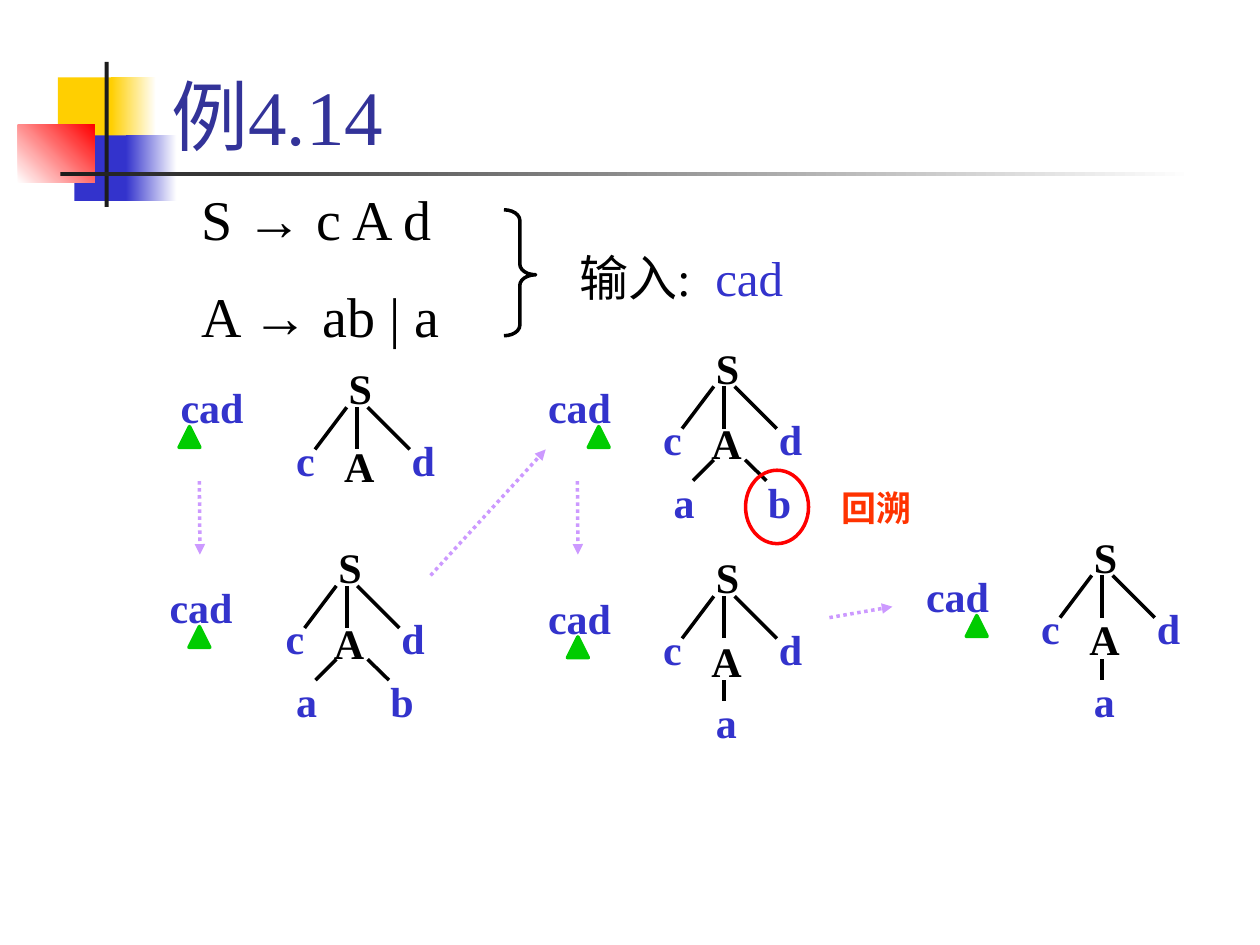
from dataclasses import dataclass

from lxml import etree
from pptx import Presentation
from pptx import util as u
from pptx.dml.color import RGBColor
from pptx.enum import dml, shapes, text
from pptx.oxml import ns


@dataclass(frozen=True)
class Theme:
    font: str = "Times New Roman"
    title: str = "333399"
    ink: str = "000000"
    terminal: str = "3333CC"
    pointer: str = "00CC00"
    step: str = "CC99FF"
    ring: str = "FF0000"
    alert: str = "FF3300"
    yellow: str = "FFCF01"
    bar: str = "1C1C1C"
    white: str = "FFFFFF"
    title_size: int = 44
    grammar_size: int = 32
    input_size: int = 28
    node_size: int = 24
    alert_size: int = 20
    stroke: int = 2


THEME = Theme()


def rgb(value):
    return RGBColor.from_string(value)


def add_span(para, words, size, color, bold=False):
    span = para.add_run()
    span.text = words
    span.font.name = THEME.font
    span.font.size = u.Pt(size)
    span.font.bold = bold
    span.font.color.rgb = rgb(color)


def add_box(page, left, top, width, height):
    box = page.shapes.add_textbox(u.Cm(left), u.Cm(top), u.Cm(width), u.Cm(height))
    box.text_frame.word_wrap = True
    box.text_frame.auto_size = text.MSO_AUTO_SIZE.SHAPE_TO_FIT_TEXT
    return box.text_frame


def add_label(page, words, left, top, width=0.85, height=1.27,
              size=THEME.node_size, color=THEME.terminal):
    frame = add_box(page, left, top, width, height)
    add_span(frame.paragraphs[0], words, size, color, bold=True)


def add_figure(page, kind, left, top, width, height, fill=None, line=None, angle=0):
    figure = page.shapes.add_shape(kind, u.Cm(left), u.Cm(top), u.Cm(width), u.Cm(height))
    figure.shadow.inherit = False
    if fill is None:
        figure.fill.background()
    elif isinstance(fill, tuple):
        figure.fill.gradient()
        figure.fill.gradient_angle = angle
        for stop, color in zip(figure.fill.gradient_stops, fill):
            stop.color.rgb = rgb(color)
    else:
        figure.fill.solid()
        figure.fill.fore_color.rgb = rgb(fill)
    if line:
        figure.line.color.rgb = rgb(line)
        figure.line.width = u.Pt(THEME.stroke)
    else:
        figure.line.fill.background()
    return figure


def add_line(page, x1, y1, x2, y2, color=THEME.ink):
    line = page.shapes.add_connector(shapes.MSO_CONNECTOR.STRAIGHT,
                                     u.Cm(x1), u.Cm(y1), u.Cm(x2), u.Cm(y2))
    line.line.color.rgb = rgb(color)
    line.line.width = u.Pt(THEME.stroke)
    etree.SubElement(line._element.spPr, ns.qn("a:effectLst"))
    return line


def add_step_arrow(page, x1, y1, x2, y2):
    arrow = add_line(page, x1, y1, x2, y2, THEME.step)
    arrow.line.dash_style = dml.MSO_LINE.ROUND_DOT
    etree.SubElement(arrow.line._get_or_add_ln(), ns.qn("a:tailEnd"), type="triangle")


def add_ornament(page, left, top):
    t = THEME
    parts = [
        (0.81, 0.31, 1.22, 1.32, t.yellow, 0),
        (1.88, 0.31, 0.91, 1.32, (t.yellow, t.white), 0),
        (1.14, 1.48, 1.17, 1.32, t.terminal, 0),
        (2.18, 1.48, 1.02, 1.32, (t.terminal, t.white), 0),
        (0, 1.27, 1.55, 1.17, (t.white, t.ring), 45),
        (1.75, 0, 0.08, 2.92, t.bar, 0),
        (0.86, 2.21, 22.86, 0.08, (t.bar, t.white), 0),
    ]
    for dx, dy, width, height, fill, angle in parts:
        add_figure(page, shapes.MSO_SHAPE.RECTANGLE, left + dx, top + dy,
                   width, height, fill, angle=angle)


def set_title(page, words, left, top, width, height):
    title = page.shapes.title
    title.left, title.top = u.Cm(left), u.Cm(top)
    title.width, title.height = u.Cm(width), u.Cm(height)
    frame = title.text_frame
    frame.auto_size = text.MSO_AUTO_SIZE.NONE
    frame.vertical_anchor = text.MSO_ANCHOR.BOTTOM
    para = frame.paragraphs[0]
    para.alignment = text.PP_ALIGN.LEFT
    add_span(para, words, THEME.title_size, THEME.title)


def add_grammar(page, left, top):
    frame = add_box(page, left, top, 6.15, 3.63)
    first, second = frame.paragraphs[0], frame.add_paragraph()
    second.space_before = u.Pt(17)
    for para, rule in ((first, "S → c A d"), (second, "A → ab | a")):
        add_span(para, rule, THEME.grammar_size, THEME.ink)

    brace = add_figure(page, shapes.MSO_SHAPE.RIGHT_BRACE, left + 6.35, top + 0.63,
                       0.64, 2.54, line=THEME.ink)
    brace.adjustments[0], brace.adjustments[1] = 0.333, 0.516

    para = add_box(page, left + 7.62, top + 1.27, 5.08, 1.45).paragraphs[0]
    add_span(para, "输入:  ", THEME.input_size, THEME.ink)
    add_span(para, "cad", THEME.input_size, THEME.terminal)


def add_scan(page, left, top, position):
    add_label(page, "cad", left, top, width=1.9)
    add_figure(page, shapes.MSO_SHAPE.ISOSCELES_TRIANGLE, left + 0.22 + 0.42 * position,
               top + 1.03, 0.42, 0.42, THEME.pointer, THEME.pointer)


def add_tree(page, center, top, leaves="", drop=0.51):
    add_label(page, "S", center - 0.42, top - 1.02, color=THEME.ink)
    add_label(page, "c", center - 1.48, top + 0.42)
    add_label(page, "d", center + 0.85, top + 0.42)
    add_label(page, "A", center - 0.51, top + drop, width=1.27, color=THEME.ink)
    for start, end in ((-0.21, -0.85), (0, 0), (0.21, 1.06)):
        add_line(page, center + start, top, center + end, top + 0.85)

    if len(leaves) == 2:
        branches, depth = ((-1.27, -0.21, -0.63), (0.63, 0.42, 0.85)), 1.48
    else:
        branches, depth = ((-0.42, 0, 0),), 1.69
    for leaf, (offset, start, end) in zip(leaves, branches):
        add_label(page, leaf, center + offset, top + depth + 0.21)
        add_line(page, center + start, top + depth, center + end, top + depth + 0.42)


def add_backtrack(page, left, top):
    add_figure(page, shapes.MSO_SHAPE.OVAL, left, top, 1.27, 1.48, line=THEME.ring)
    add_label(page, "回溯", left + 1.69, top + 0.21, 6.35, 1.09,
              THEME.alert_size, THEME.alert)


def main():
    deck = Presentation()
    deck.slide_width, deck.slide_height = u.Cm(25.4), u.Cm(19.05)
    page = deck.slides.add_slide(deck.slide_layouts[5])
    add_ornament(page, 0.36, 1.25)
    set_title(page, "例4.14", 3.2, 0.2, 21.64, 3.18)
    add_grammar(page, 3.81, 3.6)

    for scan in ((3.39, 7.57, 0), (3.17, 11.6, 1), (10.8, 7.57, 2),
                 (10.8, 11.81, 1), (18.42, 11.38, 2)):
        add_scan(page, *scan)
    for tree in ((7.2, 8.21, "", 0.55), (6.99, 11.81, "ab"), (14.6, 7.79, "ab"),
                 (14.6, 12.02, "a", 0.67), (22.22, 11.6, "a", 0.64)):
        add_tree(page, *tree)
    add_backtrack(page, 15.03, 9.48)
    for arrow in ((4.02, 9.7, 4.03, 11.18), (11.64, 9.7, 11.65, 11.18),
                  (8.68, 11.6, 11, 9.06), (16.72, 12.45, 17.99, 12.23)):
        add_step_arrow(page, *arrow)
    deck.save("out.pptx")


if __name__ == "__main__":
    main()
